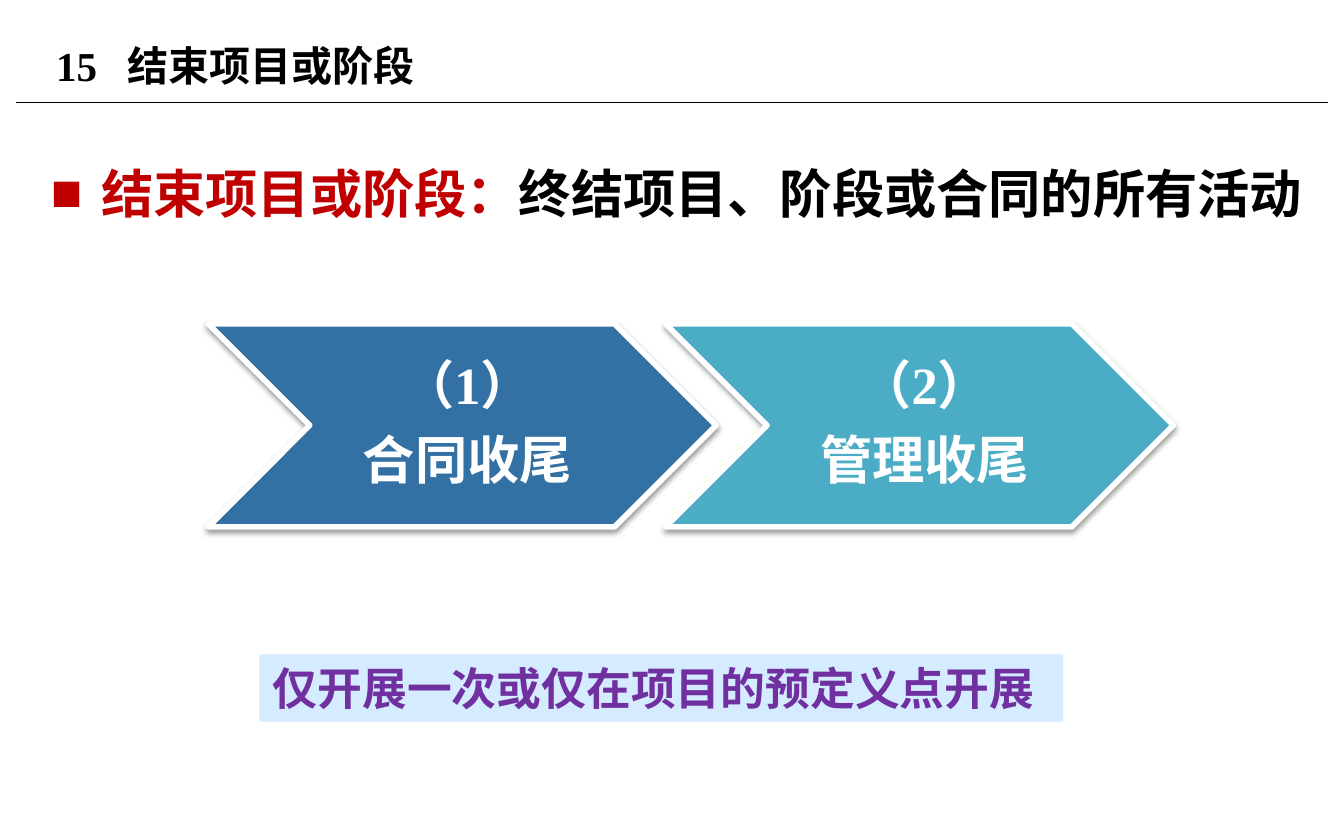
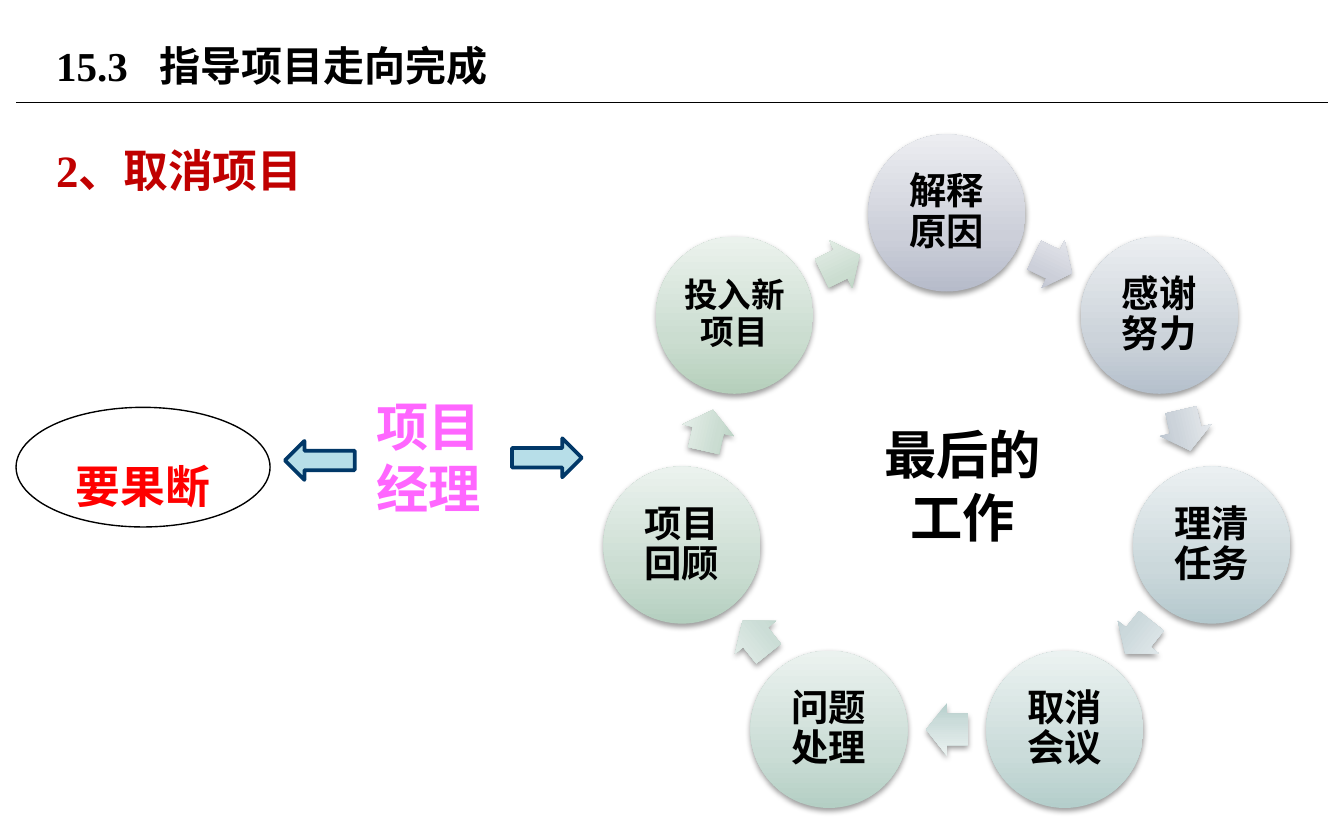
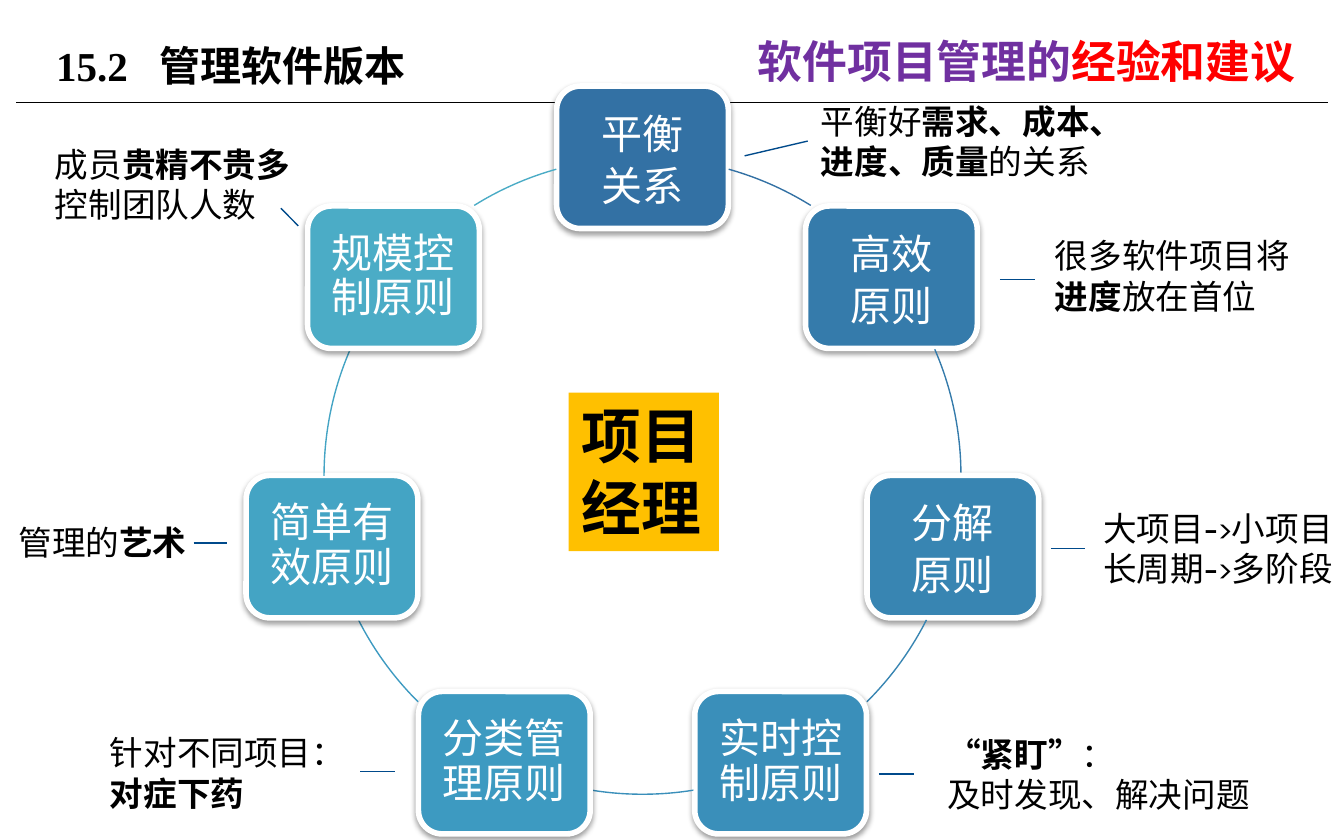
from copy import deepcopy
from math import cos, pi, radians, sin

from pptx import Presentation
from pptx import util as u
from pptx.dml.color import RGBColor
from pptx.enum import shapes, text
from pptx.oxml import ns
from lxml import etree

Pt = u.Pt
SHAPE = shapes.MSO_SHAPE
CENTER = text.PP_ALIGN.CENTER
MIDDLE = text.MSO_ANCHOR.MIDDLE
TIMES, CABIN, KARLA = "Times New Roman", "Cabin", "Karla"
BLACK, WHITE, DARK_RED, RED, PURPLE = "000000", "FFFFFF", "C00000", "FF0000", "7030A0"
NOTE_LINE, ARROW_FILL, ARROW_LINE = "004A8B", "B7DEE8", "013868"

CYCLE = [
    ("解释原因", CABIN, 20, ("B6BBCA", "CCCFD9", "ECEDF1")),
    ("感谢努力", CABIN, 20, ("B5C0CC", "CCD3DA", "EBEEF1")),
    ("理清任务", CABIN, 20, ("B4C8CD", "CBD8DB", "EBF0F2")),
    ("取消会议", CABIN, 20, ("B4CECB", "CBDCDA", "EBF2F1")),
    ("问题处理", CABIN, 20, ("B4CFC4", "CBDDD6", "EBF2EF")),
    ("项目回顾", TIMES, 20, ("B4CFBF", "CBDDD2", "EBF2EE")),
    ("投入新项目", TIMES, 18, ("B5CFBB", "CBDDD0", "EBF2ED")),
]

PRINCIPLES = [
    (("平衡", "关系"), "3371A4", (15.7, 31.9)),
    (("高效", "原则"), "357BAB", (66.6, 90)),
    (("分解", "原则"), "3885B2", (116.9, 135.2)),
    (("实时控制原则",), "3A8FBA", (170.8, 189.2)),
    (("分类管理原则",), "3D9AC1", (224.8, 243.1)),
    (("简单有效原则",), "44A4C4", (270, 293.4)),
    (("规模控制原则",), "4BACC6", (328.1, 344.3)),
]

NOTES = [
    ((432.7, 50.4, 164.9, 51), (-33.8, 33.1, 0, 25.2),
     [[("平衡好", 0), ("需求、成本、进度、质量", 1), ("的关系", 0)]]),
    ((558, 122.4, 143.3, 51), (-22.3, 27.4, -3.6, 27.4),
     [[("很多软件项目将", 0), ("进度", 1), ("放在首位", 0)]]),
    ((583.9, 268.6, 143.3, 51), (-20.9, 25.2, -2.9, 25.2),
     [[("大项目->小项目", 0)], [("长周期->多阶段", 0)]]),
    ((500.4, 389.5, 196.6, 51), (-29.5, 25.2, -10.8, 25.2),
     [[("“紧盯”", 1), ("：", 0)], [("及时发现、解决问题", 0)]]),
    ((51.8, 388.8, 147.6, 51), (141.2, 24.5, 159.9, 24.5),
     [[("针对不同项目：", 0)], [("对症下药", 1)]]),
    ((2.9, 275.8, 110.9, 29), (100.8, 15.1, 118.8, 15.1),
     [[("管理的", 0), ("艺术", 1)]]),
    ((22.3, 73.4, 143.3, 51), (128.2, 38.2, 137.5, 47.6),
     [[("成员", 0), ("贵精不贵多", 1)], [("控制团队人数", 0)]]),
]


def rgb(value):
    """Turn a hex string into a colour."""
    return RGBColor.from_string(value)


def pts(box):
    """Turn plain numbers into point lengths."""
    return [Pt(v) for v in box]


def child(parent, tag, **attrs):
    """Append a drawing element to its parent."""
    return etree.SubElement(parent, ns.qn(tag), {k: str(v) for k, v in attrs.items()})


def write(sp, paras, font, size, align=None, spacing=None, after=None,
          anchor=text.MSO_ANCHOR.TOP, margins=(7.2, 3.6, 7.2, 3.6)):
    """Fill a shape with paragraphs of (text, colour, bold) runs."""
    tf = sp.text_frame
    tf.word_wrap = True
    tf.vertical_anchor = anchor
    tf.margin_left, tf.margin_top, tf.margin_right, tf.margin_bottom = pts(margins)
    for i, runs in enumerate(paras):
        p = tf.add_paragraph() if i else tf.paragraphs[0]
        p.alignment = align or text.PP_ALIGN.LEFT
        p.line_spacing = spacing
        p.space_after = after
        for words, colour, bold in runs:
            r = p.add_run()
            r.text = words
            r.font.name, r.font.size, r.font.bold = font, Pt(size), bool(bold)
            r.font.color.rgb = rgb(colour)
    return tf


def label(s, box, paras, font, size, **style):
    """Add a text box."""
    return write(s.shapes.add_textbox(*pts(box)), paras, font, size, **style)


def shape(s, kind, box, fill=None, line=None, width=0.75, shadow=False):
    """Add a preset shape with a plain or three-stop gradient fill."""
    sp = s.shapes.add_shape(kind, *pts(box))
    sp.shadow.inherit = False
    if fill is None:
        sp.fill.background()
    elif isinstance(fill, tuple):
        sp.fill.gradient()
        sp.fill.gradient_angle = 90
        stops = sp._element.spPr.find(".//" + ns.qn("a:gsLst"))
        stops.append(deepcopy(stops[0]))
        for stop, position, colour in zip(sp.fill.gradient_stops, (0, 0.35, 1), fill):
            stop.position, stop.color.rgb = position, rgb(colour)
    else:
        sp.fill.solid()
        sp.fill.fore_color.rgb = rgb(fill)
    if line:
        sp.line.color.rgb = rgb(line)
        sp.line.width = Pt(width)
    else:
        sp.line.fill.background()
    if shadow:
        effects = sp._element.spPr.find(ns.qn("a:effectLst"))
        outer = child(effects, "a:outerShdw", blurRad=Pt(3.1), dist=Pt(1.6),
                      dir=5400000, rotWithShape=0)
        child(child(outer, "a:srgbClr", val=BLACK), "a:alpha", val=38000)
    return sp


def rule(s, x1, y1, x2, y2, colour):
    """Add a thin straight line."""
    c = s.shapes.add_connector(shapes.MSO_CONNECTOR.STRAIGHT, *pts((x1, y1, x2, y2)))
    c.line.color.rgb = rgb(colour)
    c.line.width = Pt(0.75)
    child(c._element.spPr, "a:effectLst")


def heading(s, box, number, title):
    """Place the numbered title and the rule below it."""
    x, y, w, h = box
    rule(s, x, y + h, x + w, y + h, BLACK)
    tf = label(s, (x + 14.4, y, 459.4, 51.1), [[(f"{number}\t{title}", BLACK, True)]],
               TIMES, 22, anchor=MIDDLE)
    tabs = child(tf.paragraphs[0]._p.get_or_add_pPr(), "a:tabLst")
    for stop in (38.2, 55.5):
        child(tabs, "a:tab", pos=Pt(stop), algn="l")


def bullet_line(s, box, paras):
    """Place a hanging line with a square bullet."""
    tf = label(s, box, paras, TIMES, 28, spacing=1.5)
    for p in tf.paragraphs:
        pPr = p._p.get_or_add_pPr()
        pPr.set("marL", str(Pt(27)))
        pPr.set("indent", str(-Pt(27)))
        child(pPr, "a:buFont", typeface="Arial")
        child(pPr, "a:buChar", char="■")


def chevron_row(s, box, steps):
    """Place chevrons from left to right, spread over the box."""
    x, y, w, h = box
    width = 272
    pitch = (w - width) / (len(steps) - 1)
    for i, (lines, fill) in enumerate(steps):
        sp = shape(s, SHAPE.CHEVRON, (x + i * pitch, y, width, h), fill, WHITE, 3, True)
        write(sp, [[(line, WHITE, True)] for line in lines], TIMES, 28, CENTER, 0.9,
              Pt(9.8), MIDDLE, (8.4, 2.8, 2.8, 2.8))


def cycle(s, box):
    """Place the circles and the arrows between them around the box."""
    x, y, w, h = box
    d, step = 84.2, 360 / len(CYCLE)
    radius = (w - d) / 2 / sin(radians(2 * step))
    cx, cy = x + w / 2, y + d / 2 + radius
    chord = radius * cos(pi / len(CYCLE))
    for i, (words, font, size, fill) in enumerate(CYCLE):
        a, turn = radians(i * step), (i + 0.5) * step
        sp = shape(s, SHAPE.OVAL, (cx + radius * sin(a) - d / 2, cy - radius * cos(a) - d / 2,
                                   d, d), fill, shadow=True)
        write(sp, [[(words, BLACK, True)]], font, size, CENTER, 0.9, Pt(0.35 * size),
              MIDDLE, (2.1,) * 4)
        b = radians(turn)
        arrow = shape(s, SHAPE.RIGHT_ARROW, (cx + chord * sin(b) - 11.2,
                                             cy - chord * cos(b) - 14.1, 22.4, 28.2),
                      fill, shadow=True)
        arrow.adjustments[0], arrow.adjustments[1] = 0.6, 0.5
        arrow.rotation = turn
    label(s, (cx - 42.1, cy - 37.1, 100.8, 74.9), [[("最后的工作", BLACK, True)]],
          CABIN, 28, align=CENTER)


def manager(s, box):
    """Place the manager's duty, with arrows to both sides."""
    x, y, w, h = box
    label(s, (x + 185.8, y, 89.3, h), [[("项目经理", "FF66FF", True)]], TIMES, 28)
    sp = shape(s, SHAPE.OVAL, (x, y + 10.8, 136.1, 64.1), line=BLACK)
    write(sp, [[("要果断", RED, True)]], TIMES, 24, CENTER, 1.5)
    for left, top, turn in ((w - 37.4, 27.4, 0), (144, 28.8, 180)):
        arrow = shape(s, SHAPE.RIGHT_ARROW, (x + left, y + top, 37.4, 20.9),
                      ARROW_FILL, ARROW_LINE, 2)
        arrow.rotation = turn


def principle_ring(s, box):
    """Place the principles and the arcs that join them on the ring in the box."""
    x, y, w, h = box
    nw, nh, radius = 92, 76.3, w / 2
    for i, (lines, colour, (start, end)) in enumerate(PRINCIPLES):
        a = 2 * pi * i / len(PRINCIPLES)
        sp = shape(s, SHAPE.ROUNDED_RECTANGLE,
                   (x + radius * (1 + sin(a)) - nw / 2, y + radius * (1 - cos(a)) - nh / 2,
                    nw, nh), colour, WHITE, 3, True)
        pair = len(lines) > 1
        write(sp, [[(line, WHITE, False)] for line in lines], CABIN, 22, CENTER,
              Pt(28) if pair else 0.9, None if pair else Pt(7.7), MIDDLE, (6.6,) * 4)
        arc = shape(s, SHAPE.ARC, box, line=colour)
        for k, angle in enumerate((start, end)):
            arc.adjustments[k] = (angle - 90) % 360 * 0.6
    sp = shape(s, SHAPE.RECTANGLE, (x + 131, y + 126, 80.6, 85), "FFC000")
    write(sp, [[("项目经理", BLACK, True)]], CABIN, 32)


def note(s, box, leader, paras):
    """Place a remark and its leader line."""
    x, y = box[:2]
    x1, y1, x2, y2 = leader
    rule(s, x + x1, y + y1, x + x2, y + y2, NOTE_LINE)
    label(s, box, [[(words, BLACK, bold) for words, bold in runs] for runs in paras],
          CABIN, 18)


def closing_slide(s):
    """Build the overview of closing a project or phase."""
    bullet_line(s, (20.2, 66.2, 699.8, 280.8),
                [[("结束项目或阶段：", DARK_RED, True),
                  ("终结项目、阶段或合同的所有活动", BLACK, True)]])
    chevron_row(s, (111.6, 173.5, 517, 108.7),
                [(("（1）", "合同收尾"), "3371A4"), (("（2）", "管理收尾"), "4BACC6")])
    sp = shape(s, SHAPE.RECTANGLE, (139, 350.6, 430.6, 36), "D5EBFF")
    write(sp, [[("仅开展一次或仅在项目的预定义点开展", PURPLE, True)]], KARLA, 24)


def cancel_slide(s):
    """Build the slide on cancelling a project."""
    cycle(s, (323.3, 72, 368, 361))
    label(s, (23, 58.3, 147.6, 46), [[("2、取消项目", DARK_RED, True)]], TIMES, 24,
          spacing=1.5)
    manager(s, (8.6, 207.4, 303.1, 74.9))


def advice_slide(s):
    """Build the slide of experience and advice."""
    principle_ring(s, (173.6, 84.3, 341.2, 341.2))
    for box, leader, paras in NOTES:
        note(s, box, leader, paras)
    label(s, (398.9, 0, 314.6, 46),
          [[("软件项目管理的", PURPLE, True), ("经验和建议", RED, True)]], TIMES, 24,
          spacing=1.5)


def main():
    """Build and save the deck."""
    prs = Presentation()
    prs.slide_width, prs.slide_height = Pt(720), Pt(450)
    for number, title, build in (("15", "结束项目或阶段", closing_slide),
                                 ("15.3", "指导项目走向完成", cancel_slide),
                                 ("15.2", "管理软件版本", advice_slide)):
        s = prs.slides.add_slide(prs.slide_layouts[6])
        heading(s, (8.6, 9.4, 702.8, 45.4), number, title)
        build(s)
    prs.save("out.pptx")


if __name__ == "__main__":
    main()
